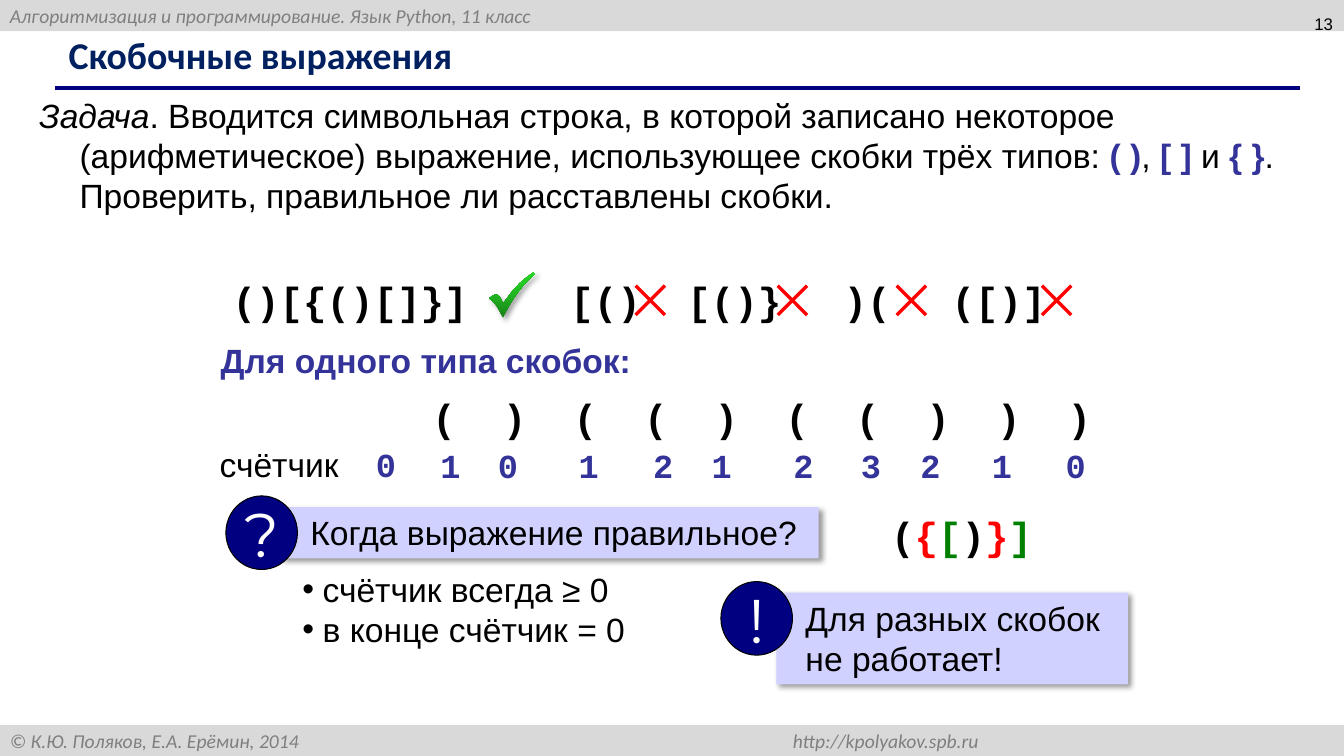
from dataclasses import dataclass
from copy import deepcopy
from itertools import chain

from lxml.etree import SubElement
from pptx import Presentation
from pptx.dml.color import RGBColor
from pptx.enum.shapes import MSO_CONNECTOR, MSO_SHAPE
from pptx.enum.text import MSO_ANCHOR, MSO_AUTO_SIZE, PP_ALIGN
from pptx.oxml.ns import qn
from pptx.util import Inches, Pt

BLACK = RGBColor(0x00, 0x00, 0x00)
WHITE = RGBColor(0xFF, 0xFF, 0xFF)
BAR_GRAY = RGBColor(0xD9, 0xD9, 0xD9)
TEXT_GRAY = RGBColor(0x7F, 0x7F, 0x7F)
NAVY = RGBColor(0x00, 0x00, 0x80)
TITLE_BLUE = RGBColor(0x00, 0x20, 0x60)
INDIGO = RGBColor(0x33, 0x33, 0x99)
LILAC = RGBColor(0xD1, 0xD1, 0xFF)
RED = RGBColor(0xFF, 0x00, 0x00)
GREEN = RGBColor(0x00, 0x80, 0x00)
TICK_GREENS = (RGBColor(0x17, 0x80, 0x17), RGBColor(0x21, 0xB6, 0x21), RGBColor(0x28, 0xD7, 0x28))


@dataclass(frozen=True)
class Style:
    font: str = "Arial"
    size: float = 24
    color: RGBColor = BLACK
    bold: bool = False
    italic: bool = False


@dataclass(frozen=True)
class Label:
    text: str
    left: float
    top: float
    width: float
    height: float
    style: Style
    wrap: bool = False
    align: PP_ALIGN = PP_ALIGN.LEFT
    anchor: MSO_ANCHOR = MSO_ANCHOR.TOP


@dataclass(frozen=True)
class Callout:
    sign: str
    text: str
    left: float
    top: float
    width: float
    height: float


BODY = Style()
CODE = Style("Courier New", 28, bold=True)
COUNT = Style("Courier New", 24, INDIGO, bold=True)
ACCENT = Style(color=INDIGO, bold=True)
BAR = Style("Calibri", 14, TEXT_GRAY, italic=True)
SIGN = Style("Montserrat", 44, WHITE)


def box(*sides: float) -> tuple:
    return tuple(Inches(side) for side in sides)


def apply_style(font, style: Style) -> None:
    font.name = style.font
    font.size = Pt(style.size)
    font.color.rgb = style.color
    font.bold = style.bold
    font.italic = style.italic


def write_runs(paragraph, parts: list) -> None:
    for text, style in parts:
        run = paragraph.add_run()
        run.text = text
        apply_style(run.font, style)


def set_indent(paragraph, margin: float, first: float = 0) -> None:
    properties = paragraph._p.get_or_add_pPr()
    properties.set("marL", str(Inches(margin)))
    properties.set("indent", str(Inches(first)))


def set_tabs(paragraph, stops: list, align: str = "l") -> None:
    tabs = SubElement(paragraph._p.get_or_add_pPr(), qn("a:tabLst"))
    for stop in stops:
        SubElement(tabs, qn("a:tab"), pos=str(Inches(stop)), algn=align)


def fill_text(shape, text: str, align: PP_ALIGN, anchor: MSO_ANCHOR):
    shape.text_frame.vertical_anchor = anchor
    paragraph = shape.text_frame.paragraphs[0]
    paragraph.text = text
    paragraph.alignment = align
    return paragraph


def add_label(shapes, label: Label):
    holder = shapes.add_textbox(*box(label.left, label.top, label.width, label.height))
    holder.text_frame.word_wrap = label.wrap
    return fill_text(holder, label.text, label.align, label.anchor)


def add_styled_label(shapes, label: Label) -> None:
    apply_style(add_label(shapes, label).font, label.style)


def add_filled(shapes, kind: MSO_SHAPE, bounds: tuple, color: RGBColor):
    shape = shapes.add_shape(kind, *box(*bounds))
    shape.shadow.inherit = False
    shape.fill.solid()
    shape.fill.fore_color.rgb = color
    shape.line.fill.background()
    return shape


def cast_shadow(shape) -> None:
    shape.shadow.inherit = False
    effects = shape._element.spPr.find(qn("a:effectLst"))
    shadow = SubElement(effects, qn("a:outerShdw"), blurRad=str(Pt(4)), dist=str(Pt(3)),
                        dir="2700000", algn="tl", rotWithShape="0")
    color = SubElement(shadow, qn("a:srgbClr"), val=str(BLACK))
    SubElement(color, qn("a:alpha"), val="40000")


def add_bar(shapes, top: float, text: str) -> None:
    bar = add_filled(shapes, MSO_SHAPE.RECTANGLE, (0, top, 13.33, 0.31), BAR_GRAY)
    paragraph = fill_text(bar, text, PP_ALIGN.LEFT, MSO_ANCHOR.MIDDLE)
    set_tabs(paragraph, [9.61], "r")
    apply_style(paragraph.font, BAR)


def add_callout(shapes, callout: Callout) -> None:
    group = shapes.add_group_shape().shapes
    panel = add_filled(group, MSO_SHAPE.RECTANGLE,
                       (callout.left, callout.top, callout.width, callout.height), LILAC)
    cast_shadow(panel)
    message = fill_text(panel, callout.text, PP_ALIGN.LEFT, MSO_ANCHOR.TOP)
    set_indent(message, 0.19)
    apply_style(message.font, BODY)
    badge = add_filled(group, MSO_SHAPE.OVAL,
                       (callout.left - 0.55, callout.top - 0.11, 0.71, 0.73), NAVY)
    badge.line.color.rgb = BLACK
    badge.line.width = Pt(0.75)
    badge.text_frame.word_wrap = False
    sign = fill_text(badge, callout.sign, PP_ALIGN.CENTER, MSO_ANCHOR.MIDDLE)
    apply_style(sign.font, SIGN)


def curve(*controls: tuple, steps: int = 8) -> list:
    def at(t: float) -> tuple:
        weights = ((1 - t) ** 3, 3 * t * (1 - t) ** 2, 3 * t * t * (1 - t), t ** 3)
        return tuple(sum(w * point[axis] for w, point in zip(weights, controls)) for axis in (0, 1))
    return [at(step / steps) for step in range(1, steps + 1)]


def add_tick(shapes) -> None:
    start, left, foot, tip, inner = (4.92, 2.92), (4.85, 2.96), (4.99, 3.15), (5.3, 2.7), (4.99, 3.01)
    points = chain(curve(start, (4.89, 2.93), (4.88, 2.94), left),
                   curve(left, (4.94, 3.02), (4.95, 3.09), foot),
                   curve(foot, (5.05, 3.01), (5.2, 2.79), (5.31, 2.72)),
                   [tip],
                   curve(tip, (5.16, 2.78), (5.07, 2.9), inner),
                   curve(inner, (4.97, 2.98), (4.97, 2.94), start))
    builder = shapes.build_freeform(*box(*start))
    builder.add_line_segments([box(*point) for point in points], close=True)
    tick = builder.convert_to_shape()
    tick.line.fill.background()
    tick.fill.gradient()
    tick.fill.gradient_angle = 90
    stops = tick._element.spPr.find(qn("a:gradFill")).find(qn("a:gsLst"))
    stops.insert(1, deepcopy(stops[0]))
    for index, (stop, color) in enumerate(zip(tick.fill.gradient_stops, TICK_GREENS)):
        stop.color.rgb = color
        stop.position = index / 2
    cast_shadow(tick)


def fill_placeholders(slide) -> None:
    title, conditions = slide.shapes.title, slide.placeholders[1]
    title.left, title.top, title.width, title.height = box(0.58, 0.31, 9.16, 0.52)
    title.text_frame.auto_size = MSO_AUTO_SIZE.NONE
    heading = fill_text(title, "Скобочные выражения", PP_ALIGN.LEFT, MSO_ANCHOR.MIDDLE)
    heading.line_spacing = 0.9
    apply_style(heading.font, Style("Calibri", 27, TITLE_BLUE, bold=True))
    conditions.left, conditions.top, conditions.width, conditions.height = box(2.9, 5.59, 3.43, 0.91)
    conditions.text_frame.auto_size = MSO_AUTO_SIZE.NONE
    conditions.text_frame.text = "счётчик всегда ≥ 0\nв конце счётчик = 0"
    for condition in conditions.text_frame.paragraphs:
        set_indent(condition, 0.2, -0.2)
        condition.space_before = Pt(0)
        apply_style(condition.font, BODY)


def main() -> None:
    deck = Presentation()
    deck.slide_width, deck.slide_height = box(13.33, 7.5)
    slide = deck.slides.add_slide(deck.slide_layouts[1])
    shapes = slide.shapes
    fill_placeholders(slide)
    add_bar(shapes, 0, "Алгоритмизация и программирование. Язык Python, 11 класс")
    add_bar(shapes, 7.19, "© К.Ю. Поляков, Е.А. Ерёмин, 2014 \thttp://kpolyakov.spb.ru")
    rule = shapes.add_connector(MSO_CONNECTOR.STRAIGHT, *box(0.55, 0.87, 12.89, 0.87))
    rule.line.color.rgb = NAVY
    rule.line.width = Pt(3)
    SubElement(rule._element.spPr, qn("a:effectLst"))
    add_styled_label(shapes, Label("13", 10.21, -0.02, 3.11, 0.52, Style(size=12), True,
                                   PP_ALIGN.RIGHT, MSO_ANCHOR.MIDDLE))
    task = add_label(shapes, Label("", 0.29, 0.89, 12.82, 1.31, BODY, True))
    set_indent(task, 0.4, -0.4)
    write_runs(task, [
        ("Задача", Style(italic=True)),
        (". Вводится символьная строка, в которой записано некоторое (арифметическое) "
         "выражение, использующее скобки трёх типов: ", BODY),
        ("( )", ACCENT), (", ", BODY), ("[ ]", ACCENT), (" и ", BODY), ("{ }", ACCENT),
        (". Проверить, правильное ли расставлены скобки.", BODY)])
    for text, left, width in (("()[{()[]}]", 2.21, 2.55), ("[()", 5.56, 0.91), ("[()}", 6.72, 1.14),
                              (")(", 8.27, 0.67), ("([)]", 9.34, 1.14)):
        add_styled_label(shapes, Label(text, left, 2.69, width, 0.57, CODE))
    add_tick(shapes)
    for left in (6.17, 7.58, 8.76, 10.2):
        cross = add_filled(shapes, MSO_SHAPE.MATH_MULTIPLY, (left, 2.7, 0.56, 0.56), RED)
        cross.adjustments[0] = 0.059
    add_styled_label(shapes, Label("Для одного типа скобок:", 2.09, 3.32, 4.31, 0.51, ACCENT))
    brackets = add_label(shapes, Label("\t".join("()(()(()))"), 4.19, 3.85, 7.11, 0.57, CODE, True))
    set_tabs(brackets, [0.7 * step for step in range(1, 10)])
    apply_style(brackets.font, CODE)
    counter = add_label(shapes, Label("", 2.08, 4.35, 1.95, 0.51, BODY, True))
    set_tabs(counter, [1.55])
    write_runs(counter, [("счётчик\t", BODY), ("0", COUNT)])
    for digit, left in zip("1012123210", (4.27, 4.84, 5.64, 6.38, 6.96, 7.77, 8.44, 9.03, 9.74, 10.47)):
        add_styled_label(shapes, Label(digit, left, 4.36, 0.4, 0.5, COUNT))
    mixed = add_label(shapes, Label("", 8.74, 5.02, 1.61, 0.57, CODE))
    write_runs(mixed, [(bracket, Style("Courier New", 28, color, bold=True))
                       for bracket, color in zip("({[)}]", (BLACK, RED, GREEN) * 2)])
    for callout in (Callout("?", "Когда выражение правильное?", 2.79, 5.03, 5.33, 0.51),
                    Callout("!", "Для разных скобок не работает!", 7.7, 5.88, 3.49, 0.91)):
        add_callout(shapes, callout)
    deck.save("out.pptx")


if __name__ == "__main__":
    main()
